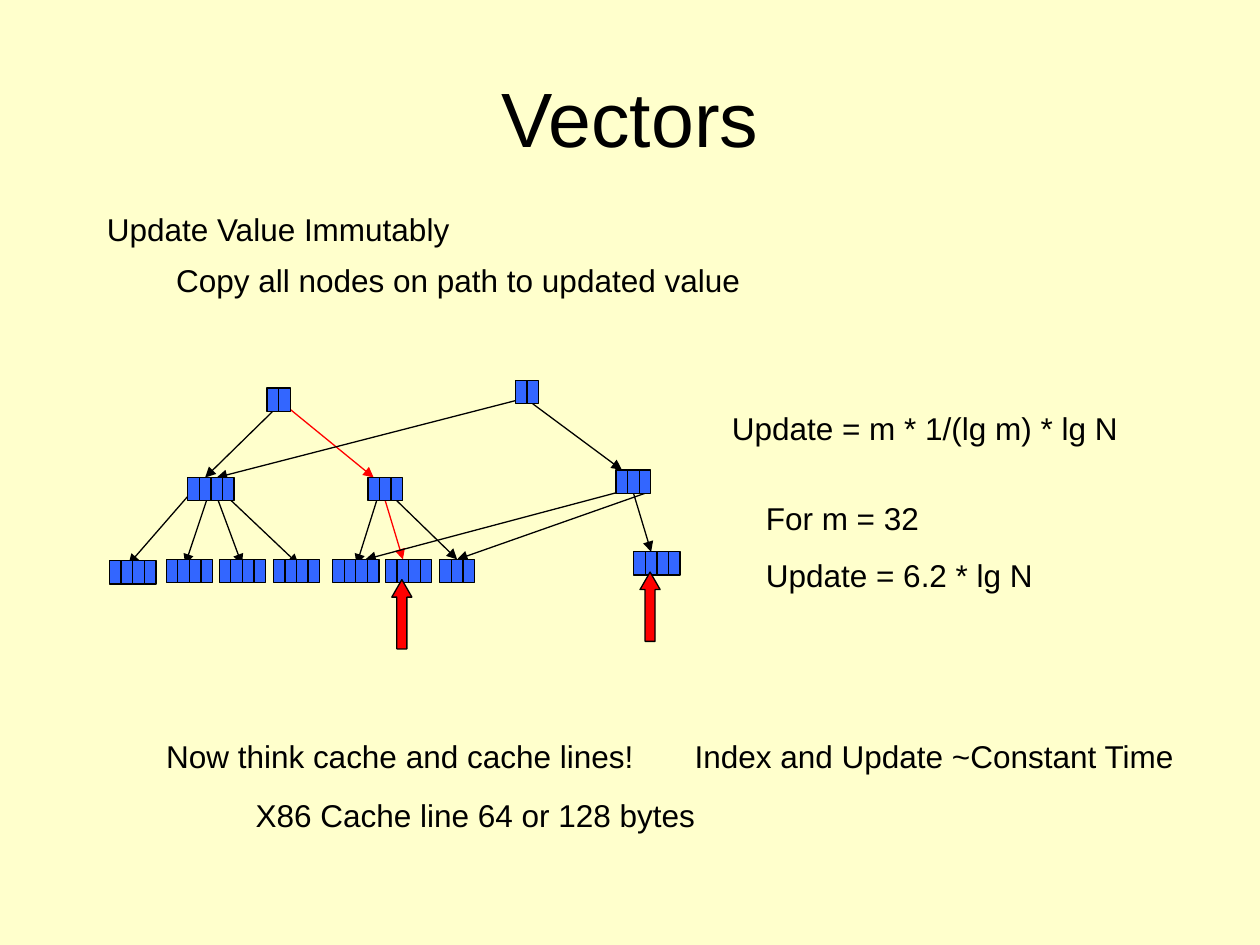
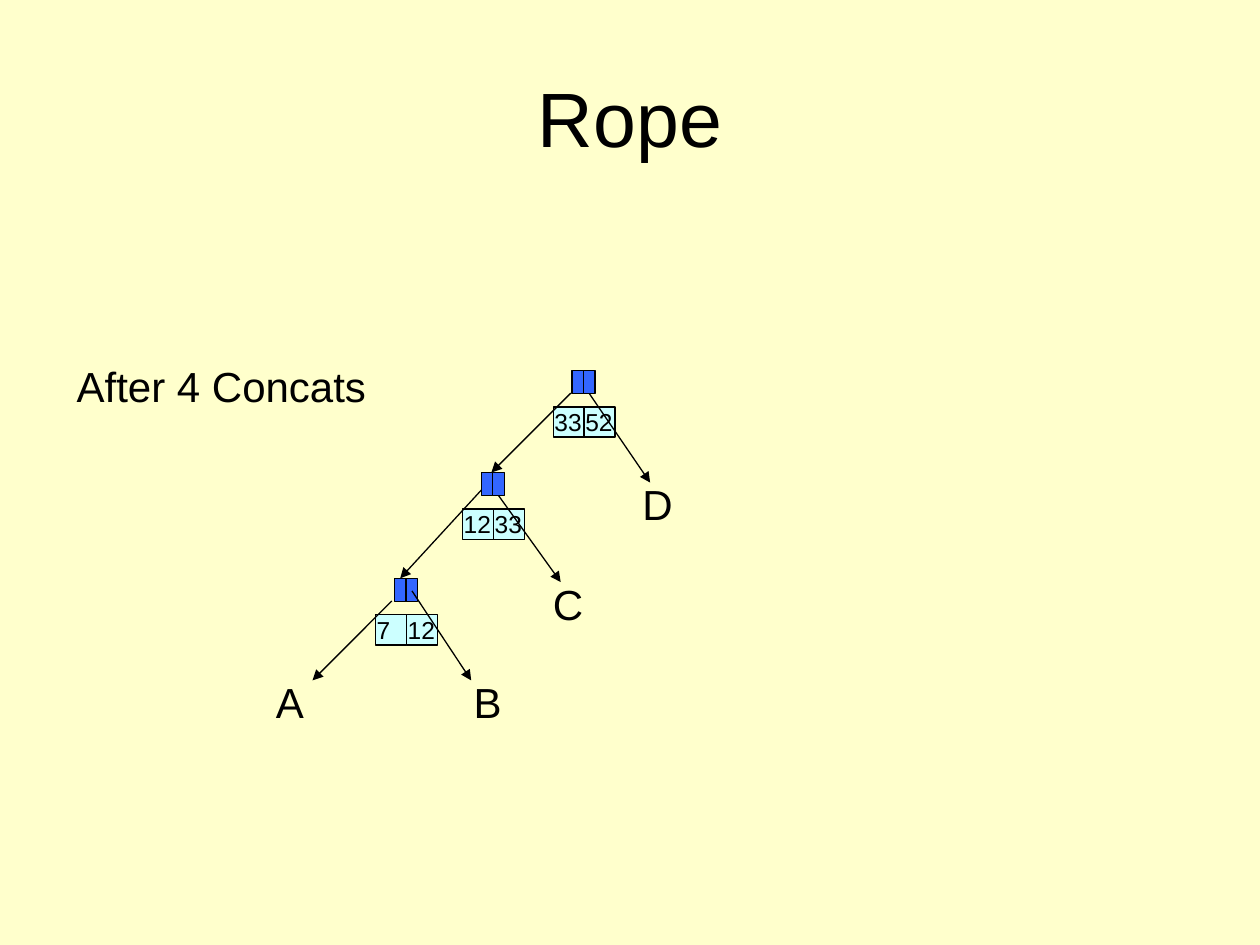
from dataclasses import dataclass

from lxml import etree
from pptx import Presentation
from pptx.dml.color import RGBColor
from pptx.enum import shapes, text
from pptx.oxml import ns
from pptx import util as u


@dataclass(frozen=True)
class Theme:
    background: str = "FFFFCC"
    ink: str = "000000"
    node: str = "3366FF"
    weight: str = "CCFFFF"
    update: str = "FF0000"
    font: str = "Arial"
    title: int = 44
    label: int = 24
    body: int = 18
    small: int = 14
    line: float = 0.75


COLUMNS, ROWS = 100, 75
CELL = (0.92, 1.85)
WEIGHT_CELL = (2.46, 2.4)
GLUE_REACH = 0.25


class Deck:
    """Draw themed elements on a 100 by 75 grid of the current slide."""

    def __init__(self, theme):
        self.theme = theme
        self.presentation = Presentation()
        self.presentation.slide_width = u.Inches(10)
        self.presentation.slide_height = u.Inches(7.5)
        self.paint(self.presentation.slide_master.background, theme.background)

    def x(self, columns):
        return round(self.presentation.slide_width * columns / COLUMNS)

    def y(self, rows):
        return round(self.presentation.slide_height * rows / ROWS)

    def box(self, left, top, width, height):
        return self.x(left), self.y(top), self.x(width), self.y(height)

    def paint(self, target, color):
        target.fill.solid()
        target.fill.fore_color.rgb = RGBColor.from_string(color)

    def outline(self, shape, color):
        shape.line.color.rgb = RGBColor.from_string(color)
        shape.line.width = u.Pt(self.theme.line)

    def add_words(self, paragraph, words, size):
        run = paragraph.add_run()
        run.text = words
        run.font.name = self.theme.font
        run.font.size = u.Pt(size)
        run.font.color.rgb = RGBColor.from_string(self.theme.ink)

    def new_slide(self, title):
        self.slide = self.presentation.slides.add_slide(self.presentation.slide_layouts[6])
        self.sides = []
        frame = self.note(5, 3, 90, 12.5, [title], self.theme.title)
        frame.vertical_anchor = text.MSO_ANCHOR.MIDDLE
        frame.paragraphs[0].alignment = text.PP_ALIGN.CENTER

    def note(self, left, top, width, height, lines, size):
        frame = self.slide.shapes.add_textbox(*self.box(left, top, width, height)).text_frame
        frame.word_wrap = True
        for index, words in enumerate(lines):
            paragraph = frame.paragraphs[0] if index == 0 else frame.add_paragraph()
            if index:
                paragraph.space_before = u.Pt(size * 0.625)
            self.add_words(paragraph, words, size)
        return frame

    def shape(self, kind, place, color, parent=None):
        shape = (parent or self.slide).shapes.add_shape(kind, *self.box(*place))
        shape.shadow.inherit = False
        self.paint(shape, color)
        self.outline(shape, self.theme.ink)
        return shape

    def cells(self, left, top, count, size, color):
        group = self.slide.shapes.add_group_shape()
        width, height = size
        row = []
        for index in range(count):
            place = (left + index * width, top, width, height)
            row.append(self.shape(shapes.MSO_SHAPE.RECTANGLE, place, color, group))
        return row

    def node(self, left, top, count):
        width, height = CELL
        for index, cell in enumerate(self.cells(left, top, count, CELL, self.theme.node)):
            middle = left + (index + 0.5) * width
            self.sides += [(middle, top, cell, 0), (middle, top + height, cell, 2)]

    def weights(self, left, top, values):
        row = self.cells(left, top, len(values), WEIGHT_CELL, self.theme.weight)
        for cell, value in zip(row, values):
            frame = cell.text_frame
            frame.word_wrap = False
            frame.vertical_anchor = text.MSO_ANCHOR.MIDDLE
            frame.margin_left = self.x(0.1)
            frame.margin_right = frame.margin_top = frame.margin_bottom = 0
            frame.paragraphs[0].alignment = text.PP_ALIGN.LEFT
            self.add_words(frame.paragraphs[0], value, self.theme.small)

    def arrow(self, start, end, color=None, behind=False):
        points = self.x(start[0]), self.y(start[1]), self.x(end[0]), self.y(end[1])
        connector = self.slide.shapes.add_connector(shapes.MSO_CONNECTOR.STRAIGHT, *points)
        self.outline(connector, color or self.theme.ink)
        properties = connector.element.spPr
        etree.SubElement(properties.find(ns.qn("a:ln")), ns.qn("a:tailEnd"), type="triangle")
        etree.SubElement(properties, ns.qn("a:effectLst"))
        for (column, row), join in ((start, connector.begin_connect), (end, connector.end_connect)):
            for side_x, side_y, cell, site in self.sides:
                if max(abs(column - side_x), abs(row - side_y)) <= GLUE_REACH:
                    join(cell, site)
                    break
        if behind:
            connector.element.getparent().insert(2, connector.element)

    def pointer(self, left, top):
        place = (left, top, 1.6, 5.5)
        pointer = self.shape(shapes.MSO_SHAPE.UP_ARROW, place, self.theme.update)
        pointer.adjustments[0] = 0.5
        pointer.adjustments[1] = 0.87


def vectors(deck):
    theme = deck.theme
    deck.new_slide("Vectors")

    tree_nodes = [
        (21.2, 30.8, 2), (14.9, 37.9, 4), (29.2, 37.9, 3),
        (8.7, 44.5, 4), (13.2, 44.4, 4), (17.4, 44.4, 4), (21.7, 44.4, 4),
        (26.4, 44.4, 4), (30.6, 44.4, 4), (34.9, 44.4, 3),
    ]
    copied_nodes = [(40.9, 30.2, 2), (48.9, 37.3, 3), (50.3, 43.8, 4)]
    for node in tree_nodes + copied_nodes:
        deck.node(*node)

    links = [
        ((22, 32.3), (16.5, 37.9)),
        ((14.9, 39.4), (10.2, 44.8)), ((16.5, 39.4), (14.7, 44.8)),
        ((17.2, 39.4), (19.2, 44.8)), ((18, 39.4), (23.7, 44.8)),
        ((30, 39.4), (28.3, 44.8)), ((31.4, 39.8), (36.1, 44.5)),
        ((42.4, 31.8), (49.5, 37.3)), ((40.9, 31.8), (17.2, 37.7)),
        ((49.7, 38.9), (29, 44.4)), ((51.1, 39.2), (36.1, 44.4)),
        ((50.3, 39.3), (51.9, 44)),
    ]
    updated_path = [((22.8, 32.3), (29.8, 37.9)), ((30.6, 39.9), (32.2, 44.6))]
    for start, end in links:
        deck.arrow(start, end, behind=True)
    for start, end in updated_path:
        deck.arrow(start, end, theme.update, behind=True)
    deck.pointer(31.1, 46)
    deck.pointer(50.8, 45.4)

    notes = [
        (7.5, 16.2, 34.6, 4, ["Update Value Immutably"]),
        (13, 20.2, 53.5, 4, ["Copy all nodes on path to updated value"]),
        (57.1, 32, 33.9, 4, ["Update = m * 1/(lg m) * lg N"]),
        (59.8, 39.1, 40.2, 8.6, ["For m = 32", "Update = 6.2 * lg N"]),
        (12.2, 58, 41, 4, ["Now think cache and cache lines!"]),
        (54.15, 58, 42, 4, ["Index and Update ~Constant Time"]),
        (19.3, 62.7, 37.8, 4, ["X86 Cache line 64 or 128 bytes"]),
    ]
    for note in notes:
        deck.note(*note, theme.body)


def rope(deck):
    deck.new_slide("Rope")
    deck.note(5.1, 28.1, 36.2, 5, ["After 4 Concats"], deck.theme.label)

    concats = [
        (45.4, 29.4, ("33", "52")),
        (38.2, 37.5, ("12", "33")),
        (31.3, 45.9, ("7", "12")),
    ]
    for left, top, values in concats:
        deck.node(left, top, 2)
        deck.weights(left - 1.5, top + 2.9, values)

    left_links = [
        ((45.3, 31.2), (39, 37.5)),
        ((38.2, 38.9), (31.9, 46)),
        ((31.1, 47.7), (24.8, 54)),
    ]
    for start, end in left_links:
        deck.arrow(start, end)
    for column, row in [(46.9, 31.2), (39.8, 39.1), (32.7, 46.9)]:
        deck.arrow((column, row), (column + 4.7, row + 7.1))

    leaves = [("A", 20.9, 53.2), ("B", 36.6, 53.2), ("C", 42.9, 45.4), ("D", 50, 37.5)]
    for letter, left, top in leaves:
        deck.note(left, top, 7.9, 5, [letter], deck.theme.label)


def main():
    deck = Deck(Theme())
    vectors(deck)
    rope(deck)
    deck.presentation.save("out.pptx")


if __name__ == "__main__":
    main()
